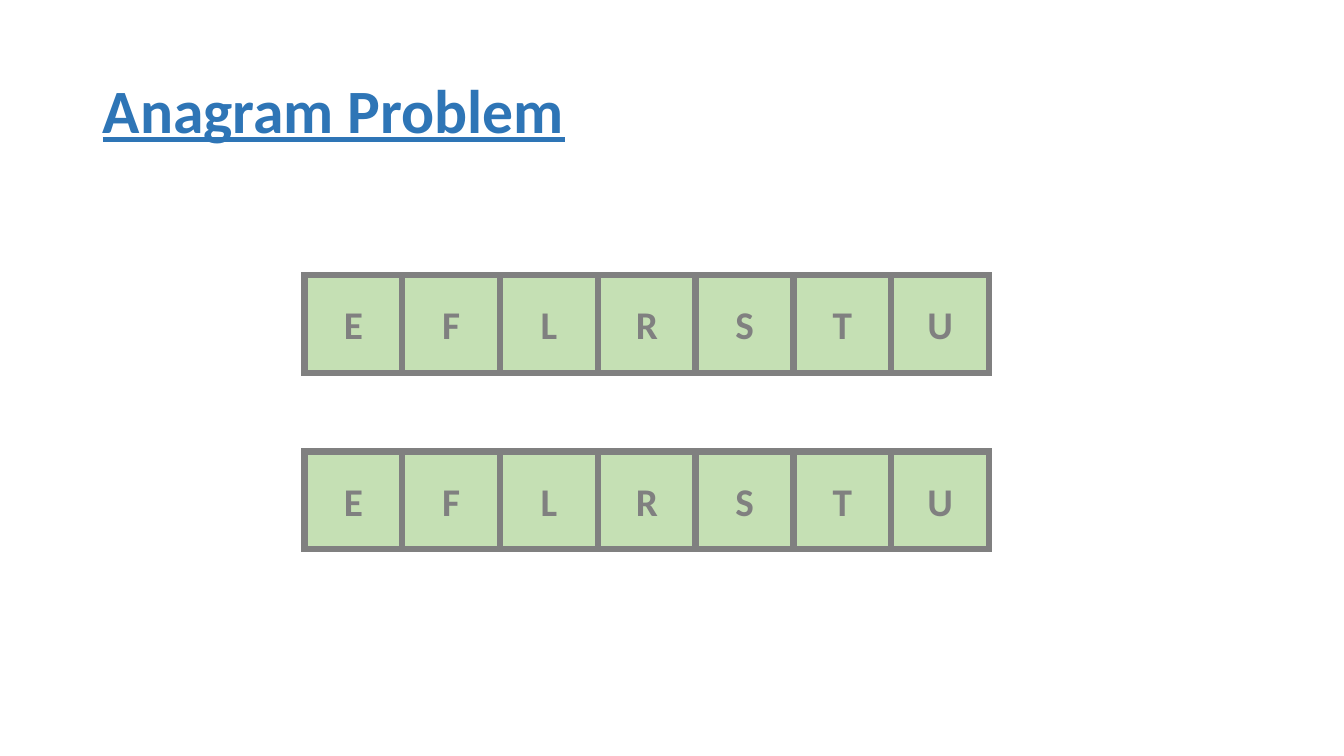
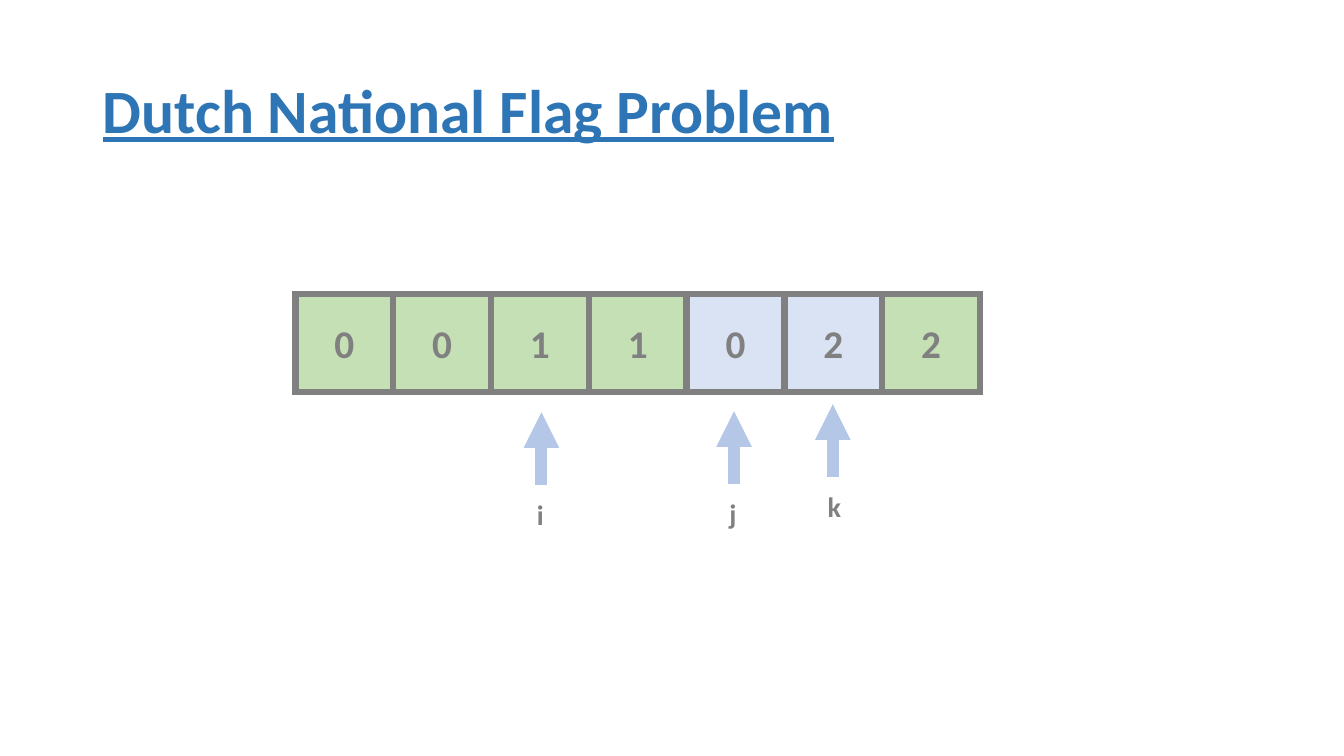
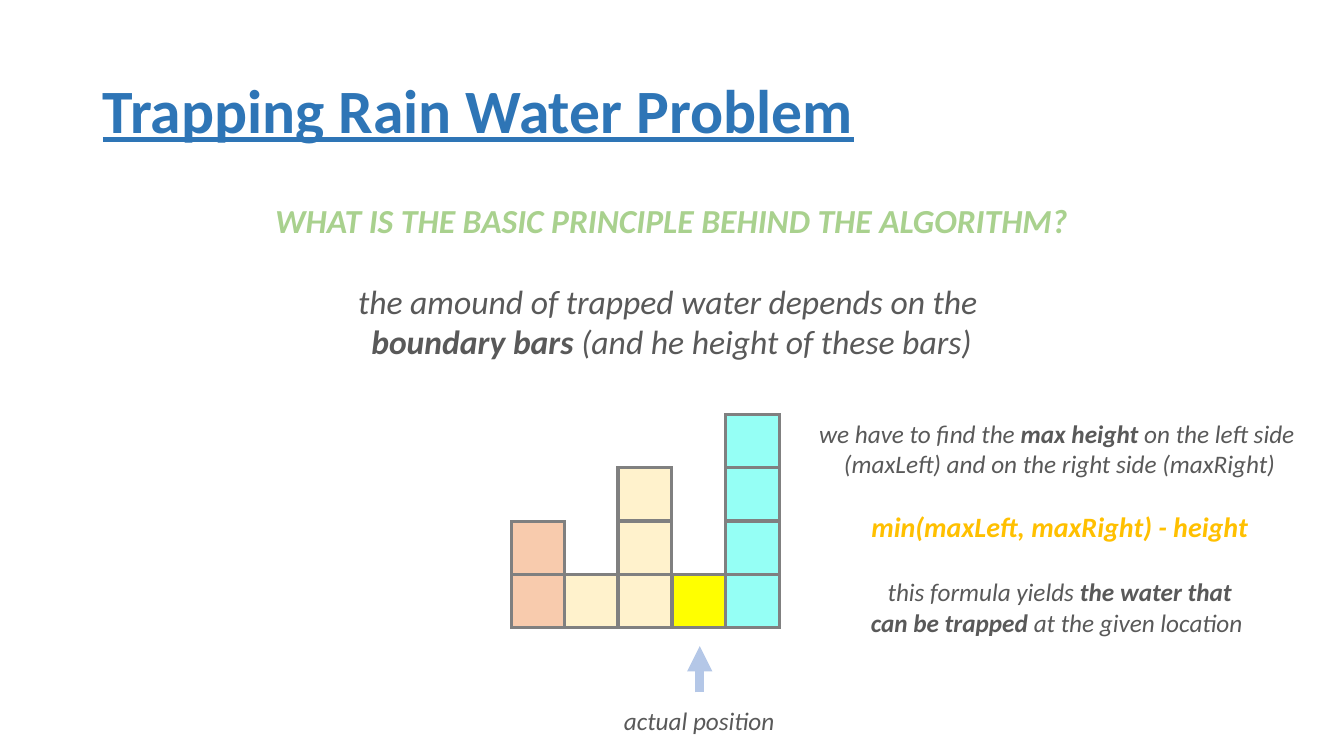
"""Build three slides on array problems: anagrams, the Dutch flag and trapped rain water."""
from dataclasses import dataclass

from lxml.etree import SubElement
from pptx import Presentation
from pptx.dml.color import RGBColor
from pptx.enum.shapes import MSO_CONNECTOR as Connector, MSO_SHAPE as Shape
from pptx.enum.text import MSO_ANCHOR as Anchor, MSO_AUTO_SIZE as AutoSize, PP_ALIGN as Align
from pptx.oxml.ns import qn
from pptx.util import Emu, Pt


@dataclass(frozen=True)
class Theme:
    """Colours, font and type sizes."""
    font: str = "Calibri"
    title: str = "2E75B6"
    outline: str = "808080"
    body: str = "595959"
    question: str = "A9D18E"
    formula: str = "FFC000"
    pointer: str = "B4C7E7"
    green: str = "C5E0B4"
    blue: str = "DAE3F3"
    orange: str = "F8CBAD"
    cream: str = "FFF2CC"
    aqua: str = "95FFF5"
    yellow: str = "FFFF00"
    title_size: int = 44
    cell_size: int = 28
    lead_size: int = 24
    label_size: int = 20
    note_size: int = 18


THEME = Theme()
PX = 9144
SLIDE_SIZE = (1333, 750)
TITLE_AREA = (92, 40, 1150, 145)

CELL = 97
SORTED_WORD = [(letter, THEME.green) for letter in "EFLRSTU"]
WORD_ROWS = [(302, 448), (302, 273)]

FLAG = [("0", THEME.green), ("0", THEME.green), ("1", THEME.green), ("1", THEME.green),
        ("0", THEME.blue), ("2", THEME.blue), ("2", THEME.green)]
FLAG_ROW = (293, 292)
FLAG_POINTERS = [("i", 537, 481), ("k", 826, 473), ("j", 728, 480)]

BARS = [(2, THEME.orange), (1, THEME.cream), (3, THEME.cream), (1, THEME.yellow), (4, THEME.aqua)]
BARS_LEFT, BARS_WIDTH, BARS_BOTTOM, BLOCK = 507, 267, 623, 53

PRINCIPLE_AREA = (107, 193, 1118, 252)
PRINCIPLE = [
    ("*WHAT IS THE BASIC PRINCIPLE BEHIND THE ALGORITHM?*", {"color": THEME.question}),
    ("the amound of trapped water depends on the ", {"before": 29}),
    ("*boundary bars *(and he height of these bars)", {}),
]
FORMULA_AREA = (799, 410, 504, 266)
FORMULA = [
    ("we have to find the* max height* on the left side ", {}),
    ("(maxLeft) and on the right side (maxRight)", {}),
    ("*min(maxLeft, maxRight) - height*",
     {"size": THEME.label_size, "color": THEME.formula, "before": 22}),
    ("this formula yields *the water that*", {"before": 24}),
    ("*can be trapped *at the given location ", {}),
]


def box(*lengths):
    return [Emu(length * PX) for length in lengths]


def write(paragraph, text, size, color, bold=False, italic=False, underline=False,
          align=Align.CENTER, before=0, spacing=None):
    paragraph.alignment = align
    paragraph.space_before = Pt(before)
    if spacing:
        paragraph.line_spacing = spacing
    for index, part in enumerate(text.split("*")):
        if part:
            run = paragraph.add_run()
            run.text = part
            font = run.font
            font.name, font.size = THEME.font, Pt(size)
            font.color.rgb = RGBColor.from_string(color)
            font.bold = bold or index % 2 == 1
            font.italic, font.underline = italic, underline


def stroke(outlined, color, width, tag, **attributes):
    outlined.line.color.rgb = RGBColor.from_string(color)
    outlined.line.width = Pt(width)
    SubElement(outlined.line._get_or_add_ln(), qn(tag), attributes)


def add_text(slide, area, paragraphs, wrap=False, **style):
    frame = slide.shapes.add_textbox(*box(*area)).text_frame
    frame.word_wrap = wrap
    frame.auto_size = AutoSize.SHAPE_TO_FIT_TEXT
    for index, (text, changes) in enumerate(paragraphs):
        paragraph = frame.add_paragraph() if index else frame.paragraphs[0]
        write(paragraph, text, **{**style, **changes})


def add_square(slide, left, top, side, fill, line_width, label=""):
    square = slide.shapes.add_shape(Shape.RECTANGLE, *box(left, top, side, side))
    square.shadow.inherit = False
    square.fill.solid()
    square.fill.fore_color.rgb = RGBColor.from_string(fill)
    stroke(square, THEME.outline, line_width, "a:miter", lim="800000")
    if label:
        square.text_frame.vertical_anchor = Anchor.MIDDLE
        write(square.text_frame.paragraphs[0], label, THEME.cell_size, THEME.outline, bold=True)


def add_array(slide, origin, cells):
    left, top = origin
    for index, (label, fill) in enumerate(cells):
        add_square(slide, left + index * CELL, top, CELL, fill, 4.5, label)


def add_pointer(slide, label, x, bottom, length, line_width, label_width, **style):
    arrow = slide.shapes.add_connector(Connector.STRAIGHT, *box(x, bottom, x, bottom - length))
    stroke(arrow, THEME.pointer, line_width, "a:tailEnd", type="triangle")
    SubElement(arrow._element.spPr, qn("a:effectLst"))
    area = (x - 1 - label_width // 2, bottom + 8, label_width, 44)
    add_text(slide, area, [(label, {})], **style)


def add_slide(deck, layout, title):
    slide = deck.slides.add_slide(layout)
    write(slide.shapes.title.text_frame.paragraphs[0], title, THEME.title_size, THEME.title,
          bold=True, underline=True, align=Align.LEFT, spacing=0.9)
    return slide


def main():
    deck = Presentation()
    deck.slide_width, deck.slide_height = box(*SLIDE_SIZE)
    layout = deck.slide_layouts[5]
    heading = layout.placeholders[0]
    heading.left, heading.top, heading.width, heading.height = box(*TITLE_AREA)
    heading.text_frame.vertical_anchor = Anchor.MIDDLE

    anagram = add_slide(deck, layout, "Anagram Problem")
    for origin in WORD_ROWS:
        add_array(anagram, origin, SORTED_WORD)

    flag = add_slide(deck, layout, "Dutch National Flag Problem")
    add_array(flag, FLAG_ROW, FLAG)
    for label, x, bottom in FLAG_POINTERS:
        add_pointer(flag, label, x, bottom, 72, 8.5, 28,
                    size=THEME.label_size, color=THEME.outline, bold=True)

    rain = add_slide(deck, layout, "Trapping Rain Water Problem")
    note = {"size": THEME.note_size, "color": THEME.body, "italic": True}
    add_text(rain, PRINCIPLE_AREA, PRINCIPLE, wrap=True, **{**note, "size": THEME.lead_size})
    for column, (height, fill) in enumerate(BARS):
        left = BARS_LEFT + column * BARS_WIDTH // len(BARS)
        for level in range(1, height + 1):
            add_square(rain, left, BARS_BOTTOM - level * BLOCK, BLOCK, fill, 2.25)
    add_pointer(rain, "actual position", 694, 687, 46, 6, 171, **note)
    add_text(rain, FORMULA_AREA, FORMULA, **note)

    deck.save("out.pptx")


if __name__ == "__main__":
    main()
